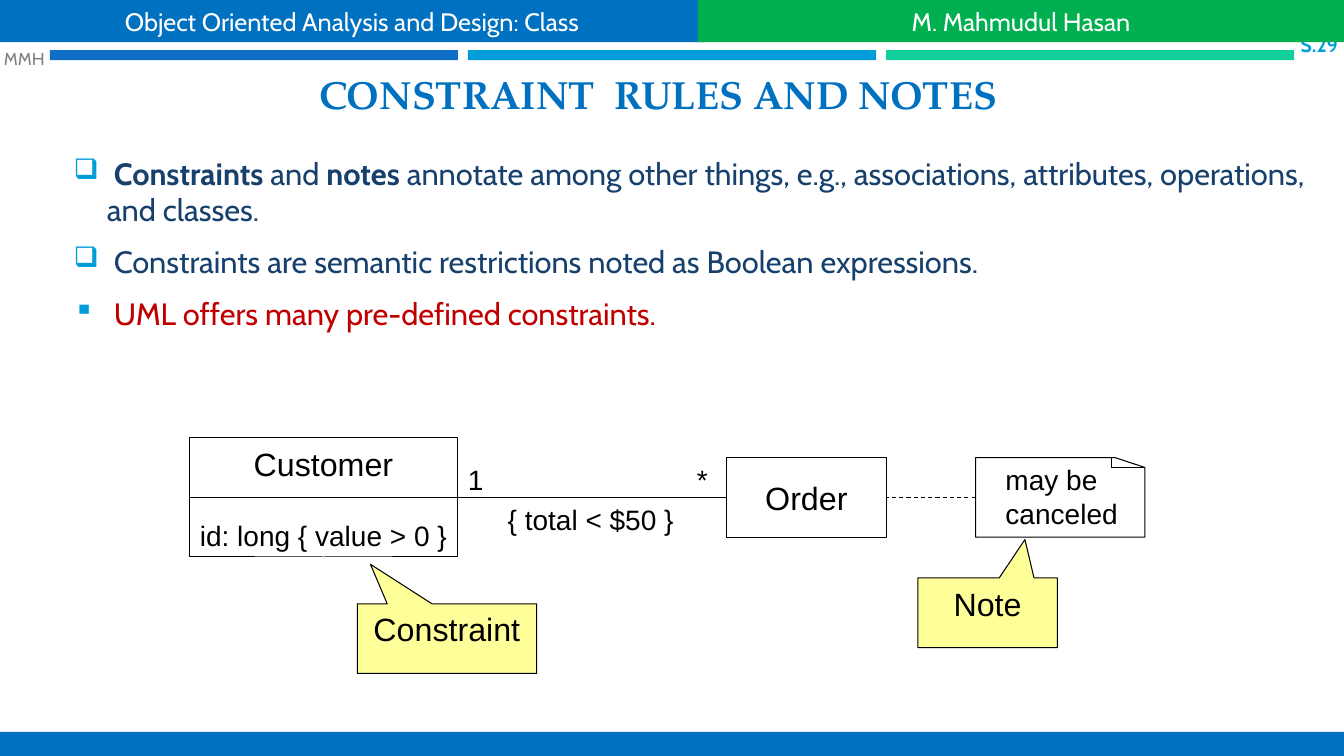
from dataclasses import dataclass

from lxml.etree import SubElement
from pptx import Presentation
from pptx.dml.color import RGBColor
from pptx.enum.dml import MSO_LINE
from pptx.enum.shapes import MSO_CONNECTOR as Link, MSO_SHAPE as Shape
from pptx.enum.text import MSO_ANCHOR as Anchor, PP_ALIGN as Align
from pptx.oxml.ns import qn
from pptx.util import Inches, Pt

WIDTH, HEIGHT = Inches(13.33), Inches(7.5)
COLUMNS, ROWS = 135, 76


@dataclass(frozen=True)
class Theme:
    """Colours, and type roles given as (font, size, colour, bold)."""
    blue: str = "0070C0"
    green: str = "00B050"
    ink: str = "000000"
    accent: str = "009DD9"
    alert: str = "C00000"
    callout: str = "FFFF99"
    bars: tuple = ("0F6FC6", "009DD9", "10CF9B")
    title: tuple = ("TeX Gyre Pagella", 28, "0070C0", True)
    body: tuple = ("Cabin", 22, "17406D", False)
    header: tuple = ("Cabin", 18, "FFFFFF", False)
    page: tuple = ("Cabin", 14, "009DD9", True)
    initials: tuple = ("Cabin", 12.3, "808080", False)
    name: tuple = ("Arial", 23, "000000", False)
    detail: tuple = ("Arial", 20, "000000", False)
    hairline: float = 0.75


def assign(target, formats):
    for key, value in formats.items():
        setattr(target, key, value)


class GridSlide:
    """A slide whose lengths are columns and rows of one square grid."""

    def __init__(self, deck, theme):
        self.theme = theme
        self.shapes = deck.slides.add_slide(deck.slide_layouts[6]).shapes

    def x(self, column):
        return round(WIDTH * column / COLUMNS)

    def y(self, row):
        return round(HEIGHT * row / ROWS)

    def cell(self, left, top, width, height):
        return self.x(left), self.y(top), self.x(width), self.y(height)

    def paint(self, shape, fill, outlined):
        shape.shadow.inherit = False
        if fill:
            shape.fill.solid()
            shape.fill.fore_color.rgb = RGBColor.from_string(fill)
        else:
            shape.fill.background()
        if outlined:
            self.stroke(shape.line)
        else:
            shape.line.fill.background()

    def stroke(self, line):
        line.color.rgb = RGBColor.from_string(self.theme.ink)
        line.width = Pt(self.theme.hairline)

    def shape(self, cell, fill=None, outlined=False, kind=Shape.RECTANGLE, adjust=()):
        shape = self.shapes.add_shape(kind, *self.cell(*cell))
        for index, value in enumerate(adjust):
            shape.adjustments[index] = value
        self.paint(shape, fill, outlined)
        return shape

    def outline(self, corners):
        points = [(self.x(column), self.y(row)) for column, row in corners]
        builder = self.shapes.build_freeform(*points[0])
        builder.add_line_segments(points[1:], close=True)
        self.paint(builder.convert_to_shape(), None, True)

    def line(self, start, end, dash=None, bend=None):
        kind = Link.STRAIGHT if bend is None else Link.ELBOW
        connector = self.shapes.add_connector(
            kind, self.x(start[0]), self.y(start[1]), self.x(end[0]), self.y(end[1]))
        self.stroke(connector.line)
        if dash:
            connector.line.dash_style = dash
        properties = connector._element.spPr
        SubElement(properties, qn("a:effectLst"))
        if bend is not None:
            guides = properties.find(qn("a:prstGeom")).get_or_add_avLst()
            SubElement(guides, qn("a:gd"), name="adj1", fmla=f"val {round(bend * 100000)}")

    def caption(self, shape, role, text, align=Align.CENTER, anchor=Anchor.MIDDLE,
                inset=(1, 0.5)):
        frame = self.frame(shape, anchor, inset)
        frame.paragraphs[0].alignment = align
        self.run(frame.paragraphs[0], role, text)

    def label(self, cell, role, text, **layout):
        self.caption(self.shapes.add_textbox(*self.cell(*cell)), role, text, **layout)

    def frame(self, shape, anchor, inset):
        across, down = self.x(inset[0]), self.y(inset[1])
        assign(shape.text_frame, dict(
            word_wrap=True, vertical_anchor=anchor, margin_left=across,
            margin_right=across, margin_top=down, margin_bottom=down))
        return shape.text_frame

    def run(self, paragraph, role, text, color=None, bold=None):
        font, size, ink, weight = role
        run = paragraph.add_run()
        run.text = text
        assign(run.font, dict(name=font, size=Pt(size), bold=weight if bold is None else bold))
        run.font.color.rgb = RGBColor.from_string(color or ink)

    def bullets(self, cell, items):
        """Each item is (mark, colour, [(text, bold), ...])."""
        frame = self.frame(self.shapes.add_textbox(*self.cell(*cell)), Anchor.MIDDLE, (1, 0.5))
        for index, (mark, color, parts) in enumerate(items):
            paragraph = frame.add_paragraph() if index else frame.paragraphs[0]
            assign(paragraph, dict(space_before=Pt(4.4 if index else 0), space_after=Pt(6)))
            self.bullet(paragraph, mark)
            for text, bold in parts:
                self.run(paragraph, self.theme.body, text, color, bold)

    def bullet(self, paragraph, mark):
        properties = paragraph._p.get_or_add_pPr()
        indent = Inches(0.33)
        properties.set("marL", str(indent))
        properties.set("indent", str(-indent))
        SubElement(SubElement(properties, qn("a:buClr")), qn("a:srgbClr"), val=self.theme.accent)
        SubElement(properties, qn("a:buSzPct"), val="92000")
        SubElement(properties, qn("a:buChar"), char=mark)


def draw_text(slide, theme):
    for index, color in enumerate(theme.bars):
        slide.shape((5 + 42 * index, 5.05, 41, 1), color)
    slide.label((5, 6.5, 122.2, 5.8), theme.title, "CONSTRAINT  RULES AND NOTES",
                anchor=Anchor.BOTTOM)
    slide.bullets((6.4, 12.9, 126.6, 23), [
        ("❑", None, [(" Constraints", True), (" and ", False), ("notes", True),
                     (" annotate among other things, e.g., associations, attributes, "
                      "operations, and classes.", False)]),
        ("❑", None, [(" Constraints are semantic restrictions noted as Boolean expressions.",
                      False)]),
        ("▪", theme.alert, [(" UML offers many pre-defined constraints.", False)]),
    ])


def draw_diagram(slide, theme):
    middle = 50
    customer = slide.shape((19, 44, 27, 12), outlined=True)
    slide.caption(customer, theme.detail, "id: long { value > 0 }", anchor=Anchor.BOTTOM,
                  inset=(0, 0.5))
    slide.line((19, middle), (46, middle))
    slide.label((19, 44, 27, 5), theme.name, "Customer", anchor=Anchor.BOTTOM)
    slide.line((46, middle), (73, middle))
    slide.caption(slide.shape((73, 46, 16, 8), outlined=True), theme.name, "Order")

    slide.outline([(98, 46), (98, 54), (115, 54), (115, 47), (112, 46)])
    slide.line((112, 46), (115, 47), bend=-0.125)
    slide.line((98, middle), (89, middle), dash=MSO_LINE.DASH)
    for cell, text in [((69, 46, 4, 4.5), "*"), ((46, 46, 4, 4.5), "1"),
                       ((50, middle, 20, 4.5), "{ total < $50 }"),
                       ((100, 46, 15, 8.8), "may be canceled")]:
        slide.label(cell, theme.detail, text, align=Align.LEFT, anchor=Anchor.TOP)

    for cell, tip, text in [((35.9, 60.7, 18, 7), (-0.427, -1.068), "Constraint"),
                            ((92.2, 58.1, 14, 7), (0.268, -1.051), "Note")]:
        callout = slide.shape(cell, theme.callout, True, Shape.RECTANGULAR_CALLOUT, tip)
        slide.caption(callout, theme.name, text, anchor=Anchor.TOP, inset=(1.2, 0.6))


def draw_frame(slide, theme):
    slide.label((129, 3.4, 5.4, 2.2), theme.page, "S.29", align=Align.RIGHT, inset=(0, 0))
    slide.label((0.4, 4.4, 5, 3), theme.initials, "MMH", align=Align.LEFT, inset=(0, 0))
    for left, width, color, text in [
            (0, 70.7, theme.blue, "Object Oriented Analysis and Design: Class"),
            (70.1, 64.9, theme.green, "M. Mahmudul Hasan")]:
        slide.caption(slide.shape((left, 0, width, 4.25), color), theme.header, text)
    slide.shape((0, 73.57, COLUMNS, 2.43), theme.blue)


def main():
    deck = Presentation()
    assign(deck, dict(slide_width=WIDTH, slide_height=HEIGHT))
    theme = Theme()
    slide = GridSlide(deck, theme)
    for draw in (draw_text, draw_diagram, draw_frame):
        draw(slide, theme)
    deck.save("out.pptx")


if __name__ == "__main__":
    main()
